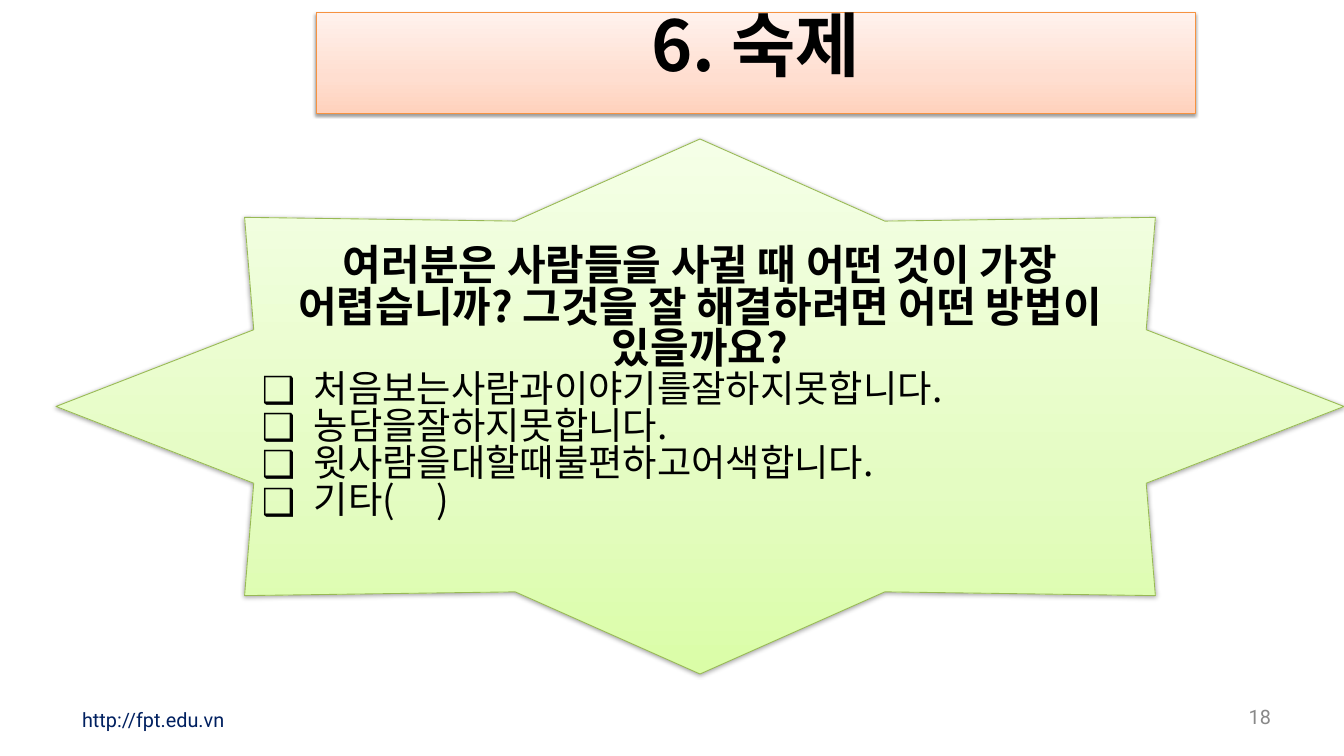
from copy import deepcopy

from lxml.etree import SubElement
from pptx import Presentation
from pptx.dml.color import RGBColor
from pptx.enum.shapes import MSO_SHAPE as Preset
from pptx.enum.text import MSO_ANCHOR as Anchor, PP_ALIGN as Align
from pptx.oxml.ns import qn
from pptx.util import Emu, Pt

TITLE = "6. 숙제"
QUESTION = ("여러분은 사람들을 사귈 때 어떤 것이 가장 어렵습니까? "
            "그것을 잘 해결하려면 어떤 방법이 있을까요?")
ANSWERS = [
    "처음보는사람과이야기를잘하지못합니다.",
    "농담을잘하지못합니다.",
    "윗사람을대할때불편하고어색합니다.",
    "기타(     )",
]
WEBSITE = "http://fpt.edu.vn"
PAGE_NUMBER = "18"

KOREAN, LATIN = "Noto Sans CJK KR", "Roboto"
BLACK = RGBColor(0x00, 0x00, 0x00)
NAVY = RGBColor(0x00, 0x20, 0x60)
GREY = RGBColor(0x89, 0x89, 0x89)
ORANGE = RGBColor(0xF6, 0x92, 0x40)
GREEN = RGBColor(0x98, 0xB9, 0x55)
PEACH_STOPS = [(0, RGBColor(0xFF, 0xD2, 0xBD)),
               (0.35, RGBColor(0xFF, 0xDE, 0xD0)),
               (1, RGBColor(0xFF, 0xF2, 0xED))]
LIME_STOPS = [(0, RGBColor(0xDA, 0xFD, 0xA7)),
              (0.35, RGBColor(0xE4, 0xFC, 0xC2)),
              (1, RGBColor(0xF5, 0xFF, 0xE7))]

TITLE_BOX = (316, 12, 879, 101)
STAR_BOX = (56, 139, 1288, 535)
WEBSITE_BOX = (70, 700, 426, 40)
NUMBER_BOX = (1218, 700, 65, 34)
PANEL_INSETS = (8, 4, 8, 4)
STAR_INSETS = (8, 4, 8, 49)
FOOTER_INSETS = (12, 6, 12, 6)
BULLET_INDENT = 52
KOREAN_SPACING = 0.83


def px(length):
    return Emu(round(length * 914400 / 84))


def prepare_frame(shape, insets, anchor):
    frame = shape.text_frame
    frame.word_wrap = True
    frame.vertical_anchor = anchor
    (frame.margin_left, frame.margin_top,
     frame.margin_right, frame.margin_bottom) = map(px, insets)
    return frame


def write(paragraph, text, size, font, color, align, bold=False):
    paragraph.alignment = align
    run = paragraph.add_run()
    run.text = text
    run.font.name = font
    run.font.size = Pt(size)
    run.font.bold = bold
    run.font.color.rgb = color
    if font == KOREAN:
        paragraph.line_spacing = KOREAN_SPACING
        SubElement(run._r.get_or_add_rPr(), qn("a:ea"), typeface=font)


def add_bullet(paragraph):
    properties = paragraph._p.get_or_add_pPr()
    properties.set("marL", str(px(BULLET_INDENT)))
    properties.set("indent", str(-px(BULLET_INDENT)))
    SubElement(properties, qn("a:buFont"), typeface=KOREAN)
    SubElement(properties, qn("a:buChar"), char="❑")


def add_shadow(shape):
    shape.shadow.inherit = False
    effects = shape._element.spPr.find(qn("a:effectLst"))
    shadow = SubElement(effects, qn("a:outerShdw"), blurRad=str(Pt(3.1)),
                        dist=str(Pt(1.6)), dir="5400000", rotWithShape="0")
    tint = SubElement(shadow, qn("a:srgbClr"), val=str(BLACK))
    SubElement(tint, qn("a:alpha"), val="38000")


def add_panel(slide, preset, box, stops, outline):
    panel = slide.shapes.add_shape(preset, *map(px, box))
    panel.fill.gradient()
    stop_list = panel._element.spPr.find(qn("a:gradFill")).find(qn("a:gsLst"))
    stop_list.append(deepcopy(stop_list[0]))
    for stop, (position, color) in zip(panel.fill.gradient_stops, stops):
        stop.position = position
        stop.color.rgb = color
    panel.fill.gradient_angle = 90
    panel.line.color.rgb = outline
    panel.line.width = Pt(0.75)
    add_shadow(panel)
    return panel


def main():
    deck = Presentation()
    deck.slide_width, deck.slide_height = px(1344), px(756)
    slide = deck.slides.add_slide(deck.slide_layouts[6])

    for text, box, color, align in [
        (WEBSITE, WEBSITE_BOX, NAVY, Align.LEFT),
        (PAGE_NUMBER, NUMBER_BOX, GREY, Align.RIGHT),
    ]:
        footer = slide.shapes.add_textbox(*map(px, box))
        frame = prepare_frame(footer, FOOTER_INSETS, Anchor.MIDDLE)
        write(frame.paragraphs[0], text, 17, LATIN, color, align)

    banner = add_panel(slide, Preset.RECTANGLE, TITLE_BOX, PEACH_STOPS, ORANGE)
    frame = prepare_frame(banner, PANEL_INSETS, Anchor.TOP)
    write(frame.paragraphs[0], TITLE, 60, KOREAN, BLACK, Align.CENTER, True)

    star = add_panel(slide, Preset.STAR_8_POINT, STAR_BOX, LIME_STOPS, GREEN)
    frame = prepare_frame(star, STAR_INSETS, Anchor.MIDDLE)
    write(frame.paragraphs[0], QUESTION, 36, KOREAN, BLACK, Align.CENTER, True)
    for answer in ANSWERS:
        paragraph = frame.add_paragraph()
        add_bullet(paragraph)
        write(paragraph, answer, 32, KOREAN, BLACK, Align.LEFT)

    deck.save("out.pptx")


if __name__ == "__main__":
    main()
